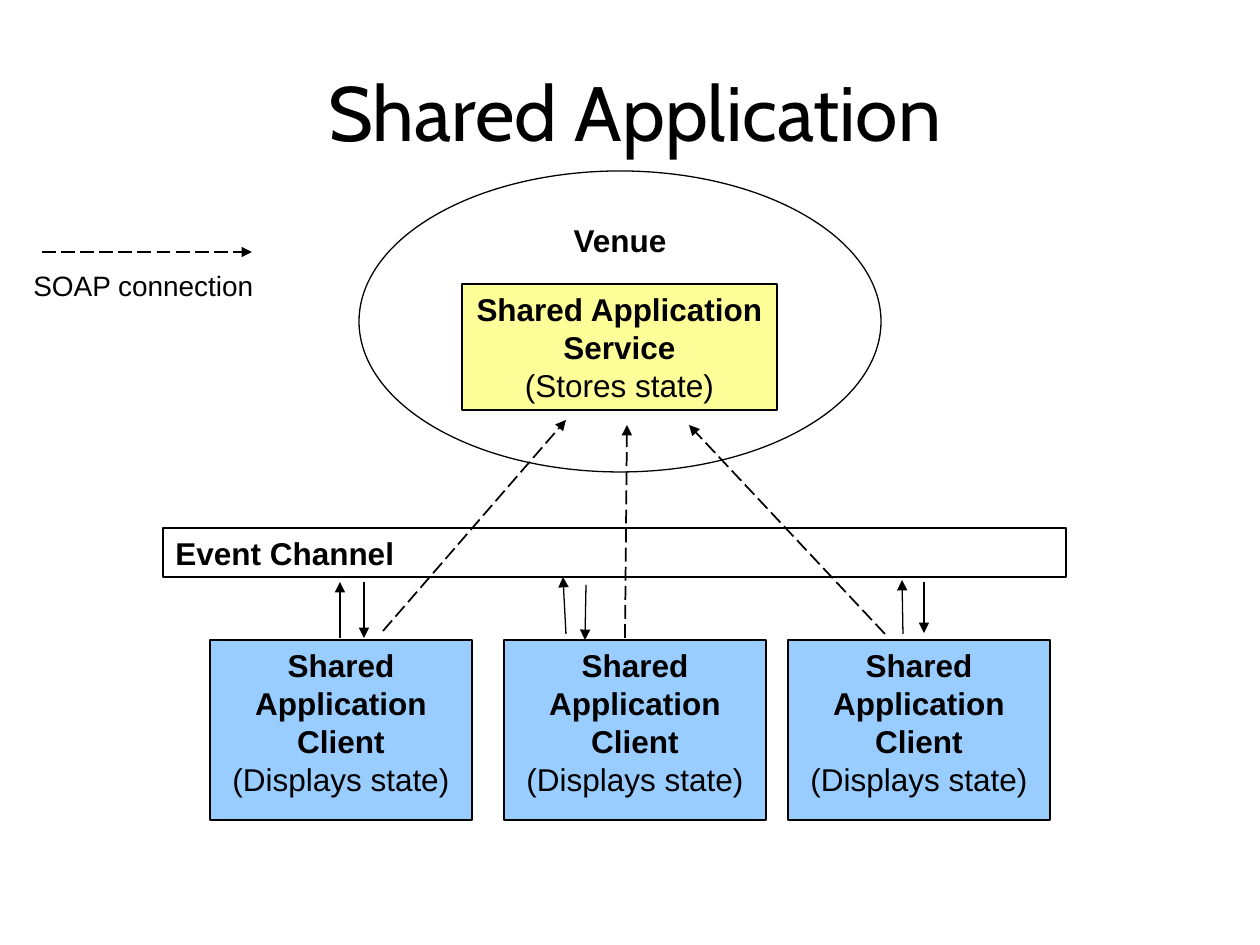
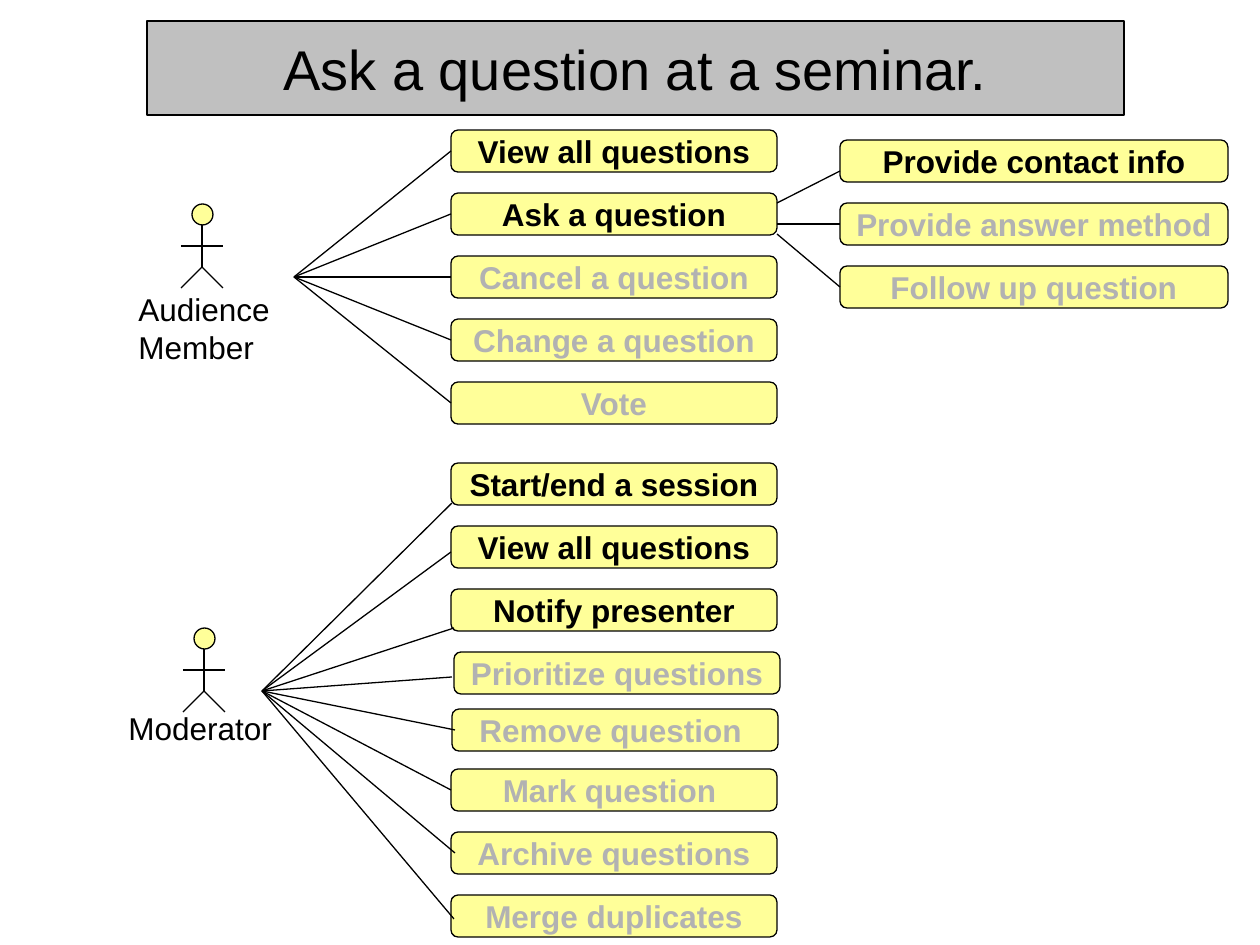
import pptx
import pptx.util
import pptx.dml.color
import pptx.enum.dml
import pptx.enum.shapes
import pptx.enum.text
import pptx.oxml
import pptx.oxml.ns

BLACK = pptx.dml.color.RGBColor(0x00, 0x00, 0x00)
WHITE = pptx.dml.color.RGBColor(0xFF, 0xFF, 0xFF)
GREY = pptx.dml.color.RGBColor(0xC0, 0xC0, 0xC0)
FADED = pptx.dml.color.RGBColor(0xB2, 0xB2, 0xB2)
YELLOW = pptx.dml.color.RGBColor(0xFF, 0xFF, 0x99)
BLUE = pptx.dml.color.RGBColor(0x99, 0xCC, 0xFF)

PX = 914400 / 126
RECT = pptx.enum.shapes.MSO_SHAPE.RECTANGLE
ROUND = pptx.enum.shapes.MSO_SHAPE.ROUNDED_RECTANGLE
OVAL = pptx.enum.shapes.MSO_SHAPE.OVAL
LEFT = pptx.enum.text.PP_ALIGN.LEFT
MID = pptx.enum.text.PP_ALIGN.CENTER
TOP = pptx.enum.text.MSO_ANCHOR.TOP
CORE = pptx.enum.text.MSO_ANCHOR.MIDDLE


def box(shapes, place, text="", kind=None, fill=WHITE, size=18, font="Arial",
        color=BLACK, bold=False, align=MID, anchor=TOP, wrap=True, before=0, note=None):
    """Add a shape, or a text box if no kind is given; note is a plain last line."""
    spot = [round(n * PX) for n in place]
    if kind is None:
        item = shapes.add_textbox(*spot)
    else:
        item = shapes.add_shape(kind, *spot)
        item.shadow.inherit = False
        item.fill.solid()
        item.fill.fore_color.rgb = fill
        item.line.color.rgb = BLACK
        item.line.width = pptx.util.Pt(0.75)
    frame = item.text_frame
    frame.word_wrap = wrap
    frame.vertical_anchor = anchor
    rows = [(row, bold) for row in text.split("\n")]
    if note:
        rows.append((note, False))
    for i, (row, heavy) in enumerate(rows):
        para = frame.add_paragraph() if i else frame.paragraphs[0]
        para.alignment = align
        para.space_before = pptx.util.Pt(before)
        if row:
            run = para.add_run()
            run.text = row
            run.font.size = pptx.util.Pt(size)
            run.font.name = font
            run.font.bold = heavy
            run.font.color.rgb = color
    return item


def link(shapes, start, end, arrow=False, dash=False, join=None):
    """Add a straight line; join is a shape whose left side it ends on."""
    ends = [round(n * PX) for n in (*start, *end)]
    item = shapes.add_connector(pptx.enum.shapes.MSO_CONNECTOR.STRAIGHT, *ends)
    if join is not None:
        item.end_connect(join, 1)
    item.line.color.rgb = BLACK
    item.line.width = pptx.util.Pt(1 if dash else 0.75)
    if dash:
        item.line.dash_style = pptx.enum.dml.MSO_LINE.LONG_DASH
    if arrow:
        tail = pptx.oxml.parse_xml(
            f'<a:tailEnd {pptx.oxml.ns.nsdecls("a")} type="triangle"/>')
        item.line._get_or_add_ln().append(tail)
    item._element.spPr.append(
        pptx.oxml.parse_xml(f'<a:effectLst {pptx.oxml.ns.nsdecls("a")}/>'))


deck = pptx.Presentation()
deck.slide_width = pptx.util.Inches(10)
deck.slide_height = pptx.util.Inches(7.5)
blank = deck.slide_layouts[6]

# Slide 1: shared application
draw = deck.slides.add_slide(blank).shapes
box(draw, (73, 32, 1124, 158), "Shared Application", size=44, font="Cabin", anchor=CORE)
box(draw, (163, 528, 903, 49), "Event Channel", RECT, bold=True, align=LEFT)
box(draw, (359, 171, 522, 301), "Venue", OVAL, bold=True)
box(draw, (462, 284, 315, 126), "Shared Application\nService", RECT, YELLOW,
    bold=True, note="(Stores state)")

# Clients
for left in (210, 504, 788):
    box(draw, (left, 640, 262, 180), "Shared Application\nClient", RECT, BLUE,
        bold=True, note="(Displays state)")

# SOAP arrows, the last one for the legend
for start, end in [((383, 631), (566, 420)), ((625, 638), (627, 425)),
                   ((885, 634), (689, 425)), ((42, 252), (252, 252))]:
    link(draw, start, end, arrow=True, dash=True)
box(draw, (21, 262, 246, 47), "SOAP connection", size=16, align=LEFT, wrap=False)

# Event arrows, up and down for each client
for start, end in [((340, 638), (340, 582)), ((364, 582), (364, 638)),
                   ((566, 634), (563, 577)), ((586, 585), (585, 640)),
                   ((903, 634), (902, 580)), ((924, 582), (924, 633))]:
    link(draw, start, end, arrow=True)

# Slide 2: use cases of a seminar
draw = deck.slides.add_slide(blank).shapes
box(draw, (147, 21, 977, 94), "Ask a question at a seminar.", RECT, GREY,
    size=32, anchor=CORE, wrap=False, before=8)

# Actors
for mid, top, name, place in [
        (202, 204, "Audience\nMember", (126, 284, 165, 88)),
        (204, 628, "Moderator", (116, 703, 169, 50))]:
    body = draw.add_group_shape().shapes
    box(body, (mid - 10, top, 21, 21), kind=OVAL, fill=YELLOW)
    hip = (mid, top + 63)
    link(body, (mid, top + 21), hip)
    link(body, (mid - 21, top + 42), (mid + 21, top + 42))
    for side in (-21, 21):
        link(body, hip, (mid + side, top + 84))
    box(draw, place, name, align=LEFT, wrap=False)

case = dict(kind=ROUND, fill=YELLOW, bold=True, anchor=CORE, wrap=False)
STEP = 63

# Audience cases
for i, (text, color) in enumerate([
        ("View all questions", BLACK), ("Ask a question", BLACK),
        ("Cancel a question", FADED), ("Change a question", FADED), ("Vote", FADED)]):
    top = 130 + i * STEP
    item = box(draw, (451, top, 326, 42), text, color=color, **case)
    link(draw, (294, 277), (451, top + 21), join=item)

# Details of asking
for i, (text, color, exit, entry) in enumerate([
        ("Provide contact info", BLACK, 203, 171),
        ("Provide answer method", FADED, 224, None),
        ("Follow up question", FADED, 234, None)]):
    top = 140 + i * STEP
    item = box(draw, (840, top, 388, 42), text, color=color, **case)
    link(draw, (777, exit), (840, entry or top + 21), join=None if entry else item)

# Moderator cases: text, colour, left, top, end of the line
for text, color, left, top, end in [
        ("Start/end a session", BLACK, 451, 463, (452, 503)),
        ("View all questions", BLACK, 451, 526, (451, 552)),
        ("Notify presenter", BLACK, 451, 589, (454, 628)),
        ("Prioritize questions", FADED, 454, 652, (452, 677)),
        ("Remove question ", FADED, 452, 709, (455, 730)),
        ("Mark question ", FADED, 451, 769, None),
        ("Archive questions", FADED, 451, 832, (455, 853)),
        ("Merge duplicates", FADED, 451, 895, (454, 919))]:
    item = box(draw, (left, top, 326, 42), text, color=color, **case)
    link(draw, (262, 691), end or (left, top + 21), join=None if end else item)

deck.save("out.pptx")
